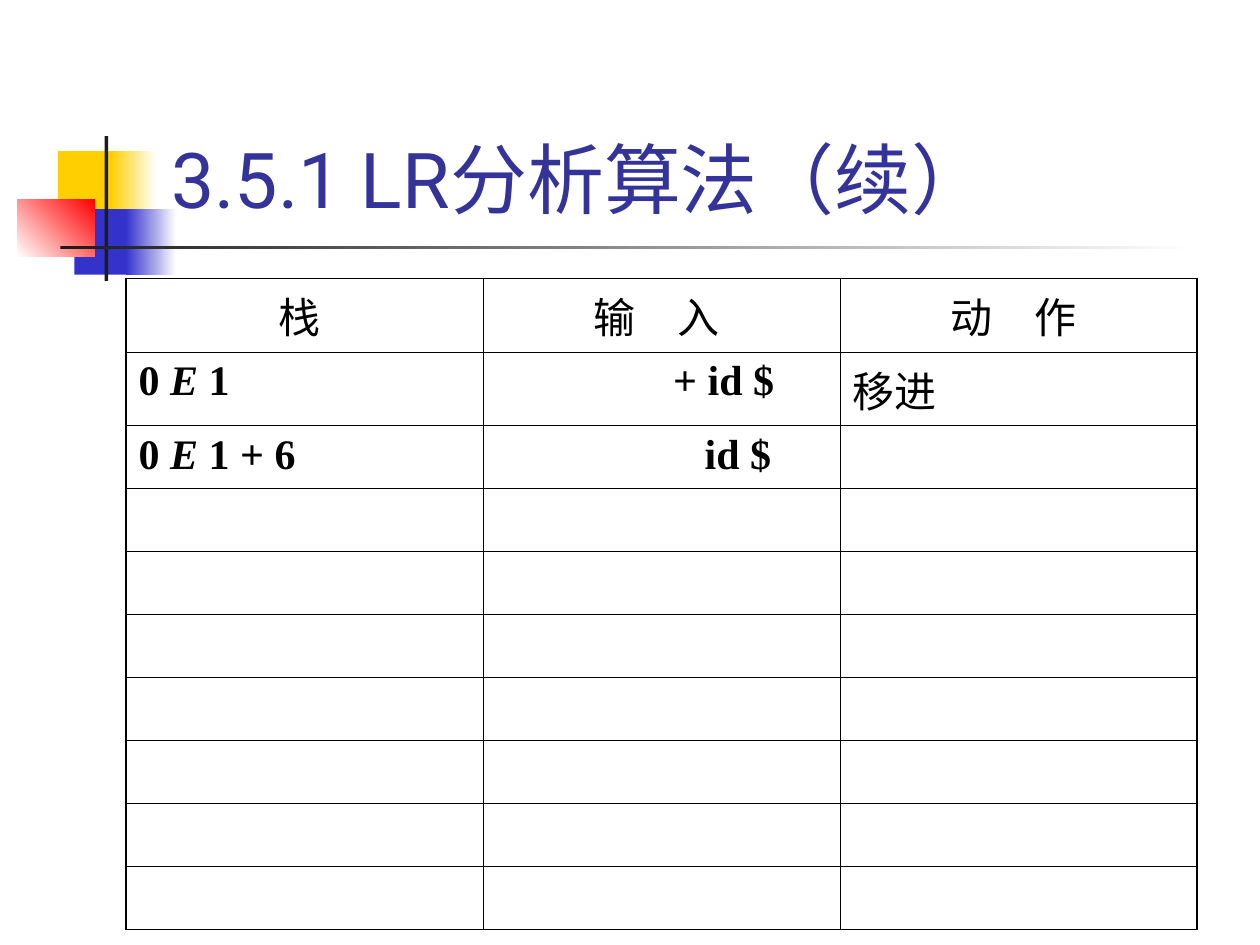
from lxml import etree
from pptx import Presentation
from pptx.dml.color import RGBColor
from pptx.enum.shapes import MSO_SHAPE
from pptx.enum.text import MSO_ANCHOR, PP_ALIGN
from pptx.oxml.ns import qn
from pptx.util import Inches, Pt

RECT = MSO_SHAPE.RECTANGLE
BOTTOM = MSO_ANCHOR.BOTTOM
LEFT, CENTER = PP_ALIGN.LEFT, PP_ALIGN.CENTER

COLORS = {
    "white": "FFFFFF", "black": "000000", "ink": "1C1C1C", "title": "333399",
    "gold": "FFCF01", "blue": "3333CC", "red": "FF0000",
}
SANS, CJK, SERIF = "Roboto", "Noto Sans CJK SC", "Times New Roman"
THICK, THIN = 1.08, 0.45

HEADS = ["栈 ", "输　入 ", "动　作 "]
# Each cell: left indent in inches, then (text, bold, italic) runs
STEPS = [
    [(0, [("0 ", True, False), ("E", True, True), (" 1", True, False)]),
     (1.41, [("+ id $", True, False)]),
     (0, [("移进", False, False)])],
    [(0, [("0 ", True, False), ("E ", True, True), ("1 + 6", True, False)]),
     (1.66, [("id $", True, False)])],
]
ROWS, COLS = 10, 3


def color(name):
    return RGBColor.from_string(COLORS[name])


def add_run(para, text, font, size, tint, bold=False, italic=False):
    run = para.add_run()
    run.text = text
    run.font.name, run.font.size = font, Pt(size)
    run.font.bold, run.font.italic = bold, italic
    run.font.color.rgb = color(tint)
    east = etree.SubElement(run.font._element, qn("a:ea"))
    east.set("typeface", CJK)


def add_block(slide, x, y, w, h, tint, fade=None, angle=0):
    block = slide.shapes.add_shape(RECT, Inches(x), Inches(y), Inches(w), Inches(h))
    block.shadow.inherit = False
    block.line.fill.background()
    if fade is None:
        block.fill.solid()
        block.fill.fore_color.rgb = color(tint)
        return
    block.fill.gradient()
    block.fill.gradient_angle = angle
    for stop, name in zip(block.fill.gradient_stops, (tint, fade)):
        stop.color.rgb = color(name)


def add_motif(slide, x, y):
    """Overlapping squares crossed by a bar and a fading rule."""
    blocks = [
        (0.32, 0.12, 0.48, 0.52, "gold"),
        (0.74, 0.12, 0.36, 0.52, "gold", "white"),
        (0.45, 0.58, 0.46, 0.52, "blue"),
        (0.86, 0.58, 0.4, 0.52, "blue", "white"),
        (0, 0.5, 0.61, 0.46, "white", "red", 45),
        (0.69, 0, 0.03, 1.15, "ink"),
        (0.34, 0.87, 9, 0.03, "ink", "white"),
    ]
    for dx, dy, *rest in blocks:
        add_block(slide, x + dx, y + dy, *rest)


def add_title(slide, x, y, w, h):
    title = slide.shapes.title
    title.left, title.top = Inches(x), Inches(y)
    title.width, title.height = Inches(w), Inches(h)
    frame = title.text_frame
    frame.word_wrap = True
    frame.vertical_anchor = BOTTOM
    para = frame.paragraphs[0]
    para.alignment = LEFT
    add_run(para, "3.5.1 LR分析算法（续）", SANS, 44, "title")


def add_edges(cell, row, col):
    """Thick lines around the table, thin ones inside."""
    outer = {"lnL": col == 0, "lnR": col == COLS - 1,
             "lnT": row == 0, "lnB": row == ROWS - 1}
    props = cell._tc.get_or_add_tcPr()
    for tag, thick in outer.items():
        line = etree.SubElement(props, qn("a:" + tag))
        line.set("w", str(int(Pt(THICK if thick else THIN))))
        fill = etree.SubElement(line, qn("a:solidFill"))
        etree.SubElement(fill, qn("a:srgbClr")).set("val", COLORS["black"])


def add_trace(slide, x, y, w, h):
    """Table of parser steps."""
    table = slide.shapes.add_table(
        ROWS, COLS, Inches(x), Inches(y), Inches(w), Inches(h)).table
    table.first_row = table.horz_banding = False
    for col in table.columns:
        col.width = Inches(w / COLS)
    for row in table.rows:
        row.height = Inches(h / ROWS)
    for r in range(ROWS):
        for c in range(COLS):
            cell = table.cell(r, c)
            add_edges(cell, r, c)
            cell.fill.background()

    # Heading row
    for c, text in enumerate(HEADS):
        para = table.cell(0, c).text_frame.paragraphs[0]
        para.alignment = CENTER
        add_run(para, text, CJK, 24, "black")

    # Step rows
    for r, step in enumerate(STEPS, 1):
        for c, (indent, runs) in enumerate(step):
            para = table.cell(r, c).text_frame.paragraphs[0]
            if indent:
                para._p.get_or_add_pPr().set("marL", str(int(Inches(indent))))
            for text, bold, italic in runs:
                add_run(para, text, SERIF, 24, "black", bold, italic)


def main():
    deck = Presentation()
    deck.slide_width, deck.slide_height = Inches(10), Inches(7.5)
    slide = deck.slides.add_slide(deck.slide_layouts[5])
    slide.background.fill.solid()
    slide.background.fill.fore_color.rgb = color("white")
    add_motif(slide, 0.14, 1.08)
    add_title(slide, 1.26, 0.23, 8.52, 1.6)
    add_trace(slide, 1, 2.21, 8.5, 5)
    deck.save("out.pptx")


if __name__ == "__main__":
    main()
